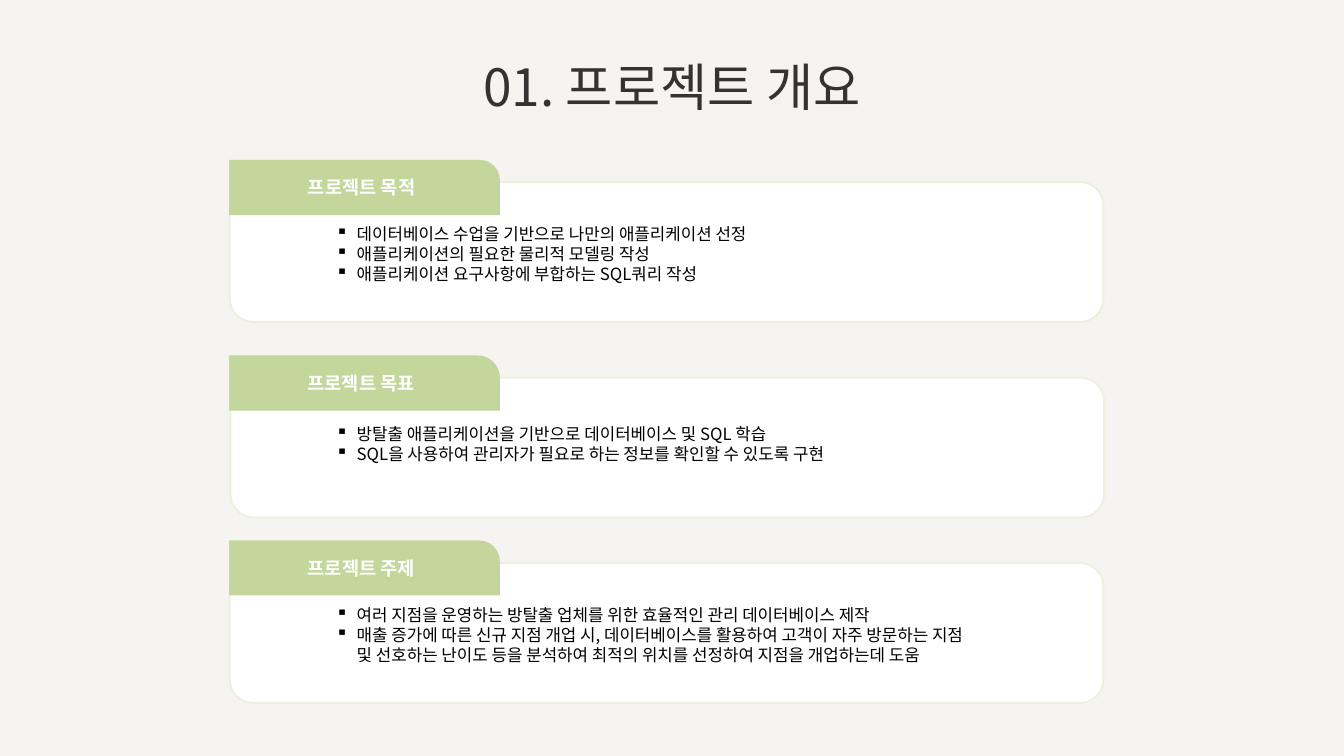
from dataclasses import dataclass

from lxml import etree
from pptx import Presentation
from pptx import util as u
from pptx.dml.color import RGBColor
from pptx.enum import shapes, text
from pptx.oxml import ns

EMU_PER_PX = 9144


@dataclass(frozen=True)
class Theme:
    font: str = "Noto Sans CJK KR"
    background: str = "F6F4F0"
    title_ink: str = "333333"
    body_ink: str = "000000"
    tab_ink: str = "FFFFFF"
    card: str = "FFFFFF"
    card_edge: str = "EBF1DE"
    tab: str = "C3D69B"
    title_size: int = 55
    tab_size: int = 20
    body_size: int = 18
    body_leading: float = 21.5
    edge_width: int = 2


THEME = Theme()

SECTIONS = [
    ((341, 238, 1301, 241), 1, 90, 0.364, "프로젝트 목적", [
        "데이터베이스 수업을 기반으로 나만의 애플리케이션 선정",
        "애플리케이션의 필요한 물리적 모델링 작성",
        "애플리케이션 요구사항에 부합하는 SQL쿼리 작성",
    ]),
    ((341, 529, 1302, 241), 2, 97, 0.403, "프로젝트 목표", [
        "방탈출 애플리케이션을 기반으로 데이터베이스 및 SQL 학습",
        "SQL을 사용하여 관리자가 필요로 하는 정보를 확인할 수 있도록 구현",
    ]),
    ((341, 804, 1301, 242), 1, 91, 0.384, "프로젝트 주제", [
        "여러 지점을 운영하는 방탈출 업체를 위한 효율적인 관리 데이터베이스 제작",
        "매출 증가에 따른 신규 지점 개업 시, 데이터베이스를 활용하여 고객이 자주 방문하는 "
        "지점 및 선호하는 난이도 등을 분석하여 최적의 위치를 선정하여 지점을 개업하는데 도움",
    ]),
]


def px(*lengths):
    return [u.Emu(length * EMU_PER_PX) for length in lengths]


def rgb(value):
    return RGBColor.from_string(value)


def add_run(paragraph, words, size, ink, bold=False):
    run = paragraph.add_run()
    run.text = words
    run.font.size = u.Pt(size)
    run.font.bold = bold
    run.font.color.rgb = rgb(ink)
    run.font.name = THEME.font
    east_asian = etree.SubElement(run.font._element, ns.qn("a:ea"))
    east_asian.set("typeface", THEME.font)


def add_bullet(paragraph):
    indent = 31 * EMU_PER_PX
    properties = paragraph._p.get_or_add_pPr()
    properties.set("marL", str(indent))
    properties.set("indent", str(-indent))
    etree.SubElement(properties, ns.qn("a:buChar")).set("char", "▪")


def add_panel(slide, kind, box, fill):
    panel = slide.shapes.add_shape(kind, *px(*box))
    panel.shadow.inherit = False
    panel.fill.solid()
    panel.fill.fore_color.rgb = rgb(fill)
    panel.line.fill.background()
    return panel


def add_title(slide, box, words):
    frame = slide.shapes.add_textbox(*px(*box)).text_frame
    frame.word_wrap = True
    frame.vertical_anchor = text.MSO_ANCHOR.MIDDLE
    heading = frame.paragraphs[0]
    heading.alignment = text.PP_ALIGN.CENTER
    add_run(heading, words, THEME.title_size, THEME.title_ink)


def add_section(slide, box, card_shift, body_drop, corner, label, points):
    left, top, width, height = box
    card_top = height - 208
    card = add_panel(slide, shapes.MSO_SHAPE.ROUNDED_RECTANGLE,
                     (left + card_shift, top + card_top, width - card_shift, height - card_top),
                     THEME.card)
    card.line.color.rgb = rgb(THEME.card_edge)
    card.line.width = u.Pt(THEME.edge_width)

    tab = add_panel(slide, shapes.MSO_SHAPE.ROUND_1_RECTANGLE, (left, top, 403, 82), THEME.tab)
    tab.adjustments[0] = corner
    tab.text_frame.vertical_anchor = text.MSO_ANCHOR.MIDDLE
    caption = tab.text_frame.paragraphs[0]
    caption.alignment = text.PP_ALIGN.CENTER
    add_run(caption, label, THEME.tab_size, THEME.tab_ink, bold=True)

    line_count = 4 if body_drop == 91 else len(points)
    body = slide.shapes.add_textbox(
        *px(left + 149, top + body_drop, 967, 11 + 30 * line_count)).text_frame
    body.word_wrap = True
    for index, point in enumerate(points):
        paragraph = body.add_paragraph() if index else body.paragraphs[0]
        paragraph.line_spacing = u.Pt(THEME.body_leading)
        add_bullet(paragraph)
        add_run(paragraph, point, THEME.body_size, THEME.body_ink)


def main():
    deck = Presentation()
    deck.slide_width, deck.slide_height = px(2000, 1125)
    slide = deck.slides.add_slide(deck.slide_layouts[6])
    slide.background.fill.solid()
    slide.background.fill.fore_color.rgb = rgb(THEME.background)
    add_title(slide, (490, 77, 1020, 103), "01. 프로젝트 개요")
    for section in SECTIONS:
        add_section(slide, *section)
    deck.save("out.pptx")


if __name__ == "__main__":
    main()
